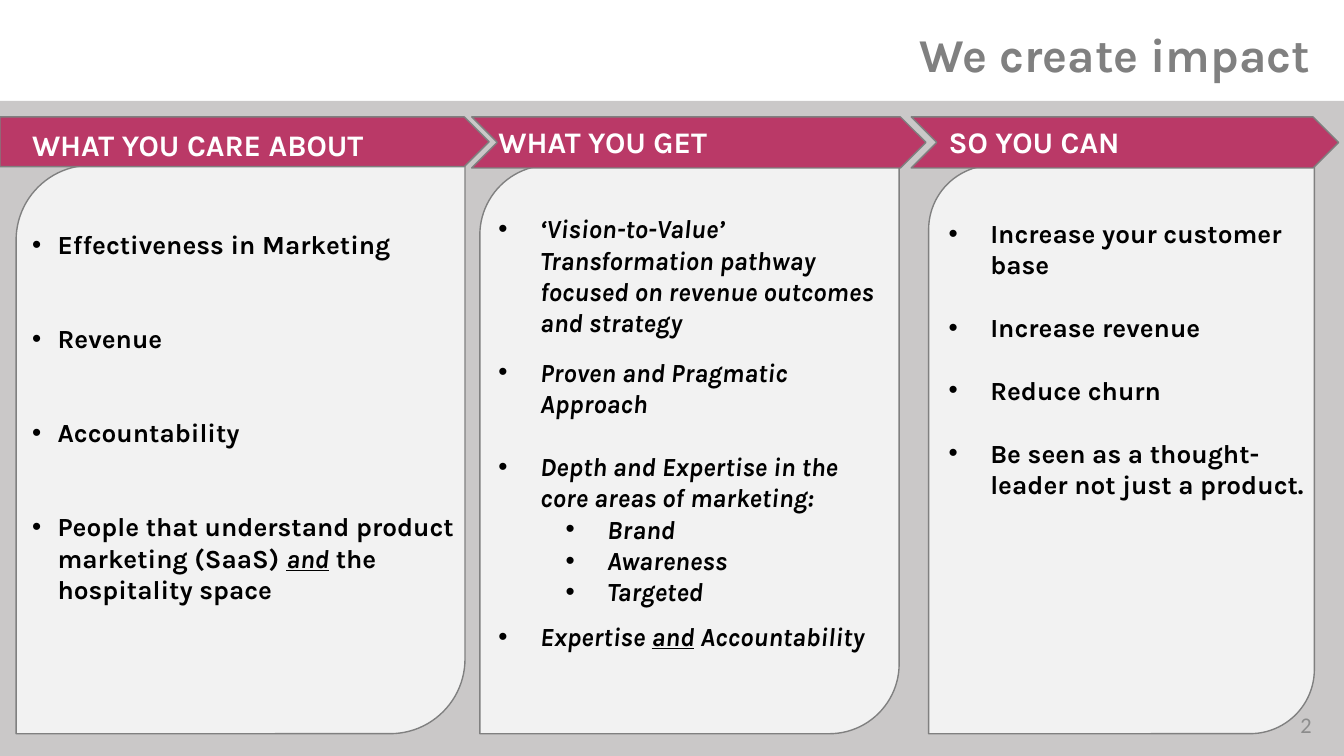
from dataclasses import dataclass

import pptx
import pptx.dml.color
import pptx.enum.shapes
import pptx.enum.text
import pptx.util
from lxml import etree
from pptx.oxml.ns import qn

Inches = pptx.util.Inches
Pt = pptx.util.Pt
RGBColor = pptx.dml.color.RGBColor
Shape = pptx.enum.shapes.MSO_SHAPE
Align = pptx.enum.text.PP_ALIGN

WHITE = RGBColor(0xFF, 0xFF, 0xFF)
BLACK = RGBColor(0x00, 0x00, 0x00)
BACKDROP = RGBColor(0xCA, 0xC8, 0xC8)
PANEL = RGBColor(0xF2, 0xF2, 0xF2)
EDGE = RGBColor(0x80, 0x80, 0x80)
BANNER_EDGE = RGBColor(0x7F, 0x7F, 0x7F)
BERRY = RGBColor(0xBA, 0x39, 0x67)
NUMBER = RGBColor(0x8C, 0x8C, 0x8C)


@dataclass(frozen=True)
class Area:
    left: float
    top: float
    width: float
    height: float

    def lengths(self) -> list:
        return [Inches(n) for n in (self.left, self.top, self.width, self.height)]


@dataclass(frozen=True)
class Bullet:
    """One point; the part between underscores is underlined."""
    text: str
    before: float
    level: int = 0


@dataclass(frozen=True)
class Column:
    heading: str
    banner_shape: int
    banner: Area
    panel: Area
    text: Area
    hanging: float
    bullets: tuple
    italic: bool = False


CARE = Column(
    "WHAT YOU CARE ABOUT", Shape.PENTAGON, Area(0, 0.87, 3.64, 0.37),
    Area(0.12, 1.23, 3.34, 4.23), Area(0.14, 0.89, 3.36, 4.5), 0.19,
    (Bullet("Effectiveness in Marketing", 35.6),
     Bullet("Revenue", 33.6),
     Bullet("Accountability", 33.6),
     Bullet("People that understand product marketing (SaaS) _and_ the hospitality space", 33.6)))
GET = Column(
    "WHAT YOU GET", Shape.CHEVRON, Area(3.51, 0.87, 3.38, 0.38),
    Area(3.57, 1.23, 3.12, 4.23), Area(3.61, 0.87, 3.02, 4.07), 0.31,
    (Bullet("‘Vision-to-Value’ Transformation pathway focused on revenue outcomes and strategy", 28.6),
     Bullet("Proven and Pragmatic Approach", 9.6),
     Bullet("Depth and Expertise in the core areas of marketing:", 16.8),
     Bullet("Brand", 0, 1),
     Bullet("Awareness", 0, 1),
     Bullet("Targeted", 0, 1),
     Bullet("Expertise _and_ Accountability", 7.2)),
    italic=True)
CAN = Column(
    "SO YOU CAN", Shape.CHEVRON, Area(6.78, 0.87, 3.18, 0.38),
    Area(6.91, 1.23, 2.87, 4.23), Area(6.96, 0.87, 2.85, 4.11), 0.31,
    (Bullet("Increase your customer base", 31),
     Bullet("Increase revenue", 16.8),
     Bullet("Reduce churn", 16.8),
     Bullet("Be seen as a thought-leader not just a product.", 16.8)))


def add_block(page, preset: int, area: Area, fill: RGBColor,
              edge: RGBColor | None = None) -> None:
    block = page.shapes.add_shape(preset, *area.lengths())
    block.shadow.inherit = False
    block.fill.solid()
    block.fill.fore_color.rgb = fill
    if edge is None:
        block.line.fill.background()
    else:
        block.line.color.rgb = edge
        block.line.width = Pt(0.75)


def add_box(page, area: Area, inset: bool = True):
    """Add an empty wrapping text box and return its text frame."""
    frame = page.shapes.add_textbox(*area.lengths()).text_frame
    frame.word_wrap = True
    if not inset:
        frame.margin_left = frame.margin_right = 0
        frame.margin_top = frame.margin_bottom = 0
    return frame


def add_span(para, text: str, *, size: float, color: RGBColor, name: str = "Karla",
             bold: bool = True, italic: bool = False, underline: bool = False) -> None:
    span = para.add_run()
    span.text = text
    font = span.font
    font.name, font.size, font.bold = name, Pt(size), bold
    font.italic, font.underline = italic, underline
    font.color.rgb = color


def set_bullet(para, indent: float, hanging: float) -> None:
    properties = para._p.get_or_add_pPr()
    properties.set("marL", str(Inches(indent)))
    properties.set("indent", str(-Inches(hanging)))
    etree.SubElement(properties, qn("a:buFont")).set("typeface", "Arial")
    etree.SubElement(properties, qn("a:buChar")).set("char", "•")


def add_column_text(page, column: Column) -> None:
    frame = add_box(page, column.text)
    add_span(frame.paragraphs[0], column.heading, size=16, color=WHITE)
    for bullet in column.bullets:
        para = frame.add_paragraph()
        para.level = bullet.level
        para.space_before = Pt(bullet.before)
        set_bullet(para, column.hanging + 0.5 * bullet.level, column.hanging)
        for index, part in enumerate(bullet.text.split("_")):
            stressed = index % 2 == 1
            add_span(para, part, size=14, color=BLACK,
                     italic=column.italic or stressed, underline=stressed)


def add_line(page, area: Area, text: str, **style) -> None:
    """Add one right-aligned line of text without insets."""
    para = add_box(page, area, inset=False).paragraphs[0]
    para.alignment = Align.RIGHT
    add_span(para, text, **style)


def main() -> None:
    deck = pptx.Presentation()
    deck.slide_width = Inches(10)
    deck.slide_height = deck.slide_width * 9 // 16
    page = deck.slides.add_slide(deck.slide_layouts[6])

    add_block(page, Shape.RECTANGLE, Area(0, 0.75, 10, 4.88), BACKDROP)
    columns = (CARE, GET, CAN)
    for column in columns:
        add_block(page, Shape.ROUND_2_DIAG_RECTANGLE, column.panel, PANEL, EDGE)
    for column in reversed(columns):
        add_block(page, column.banner_shape, column.banner, BERRY, BANNER_EDGE)
    add_line(page, Area(1.25, 0.19, 8.5, 0.35), "We create impact", size=25.2, color=EDGE)
    for column in columns:
        add_column_text(page, column)
    add_line(page, Area(9.43, 5.29, 0.33, 0.2), "2", size=12, color=NUMBER,
             name="Calibri", bold=False)

    deck.save("out.pptx")


if __name__ == "__main__":
    main()
